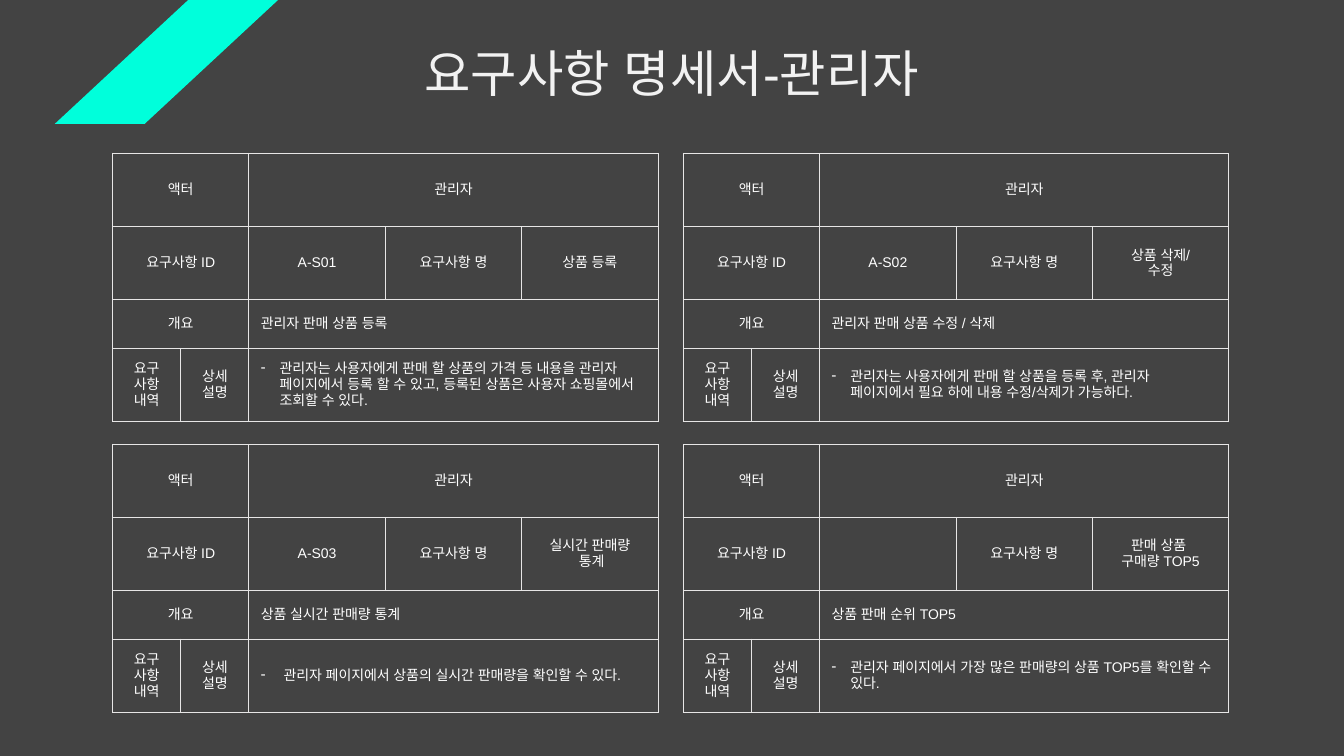
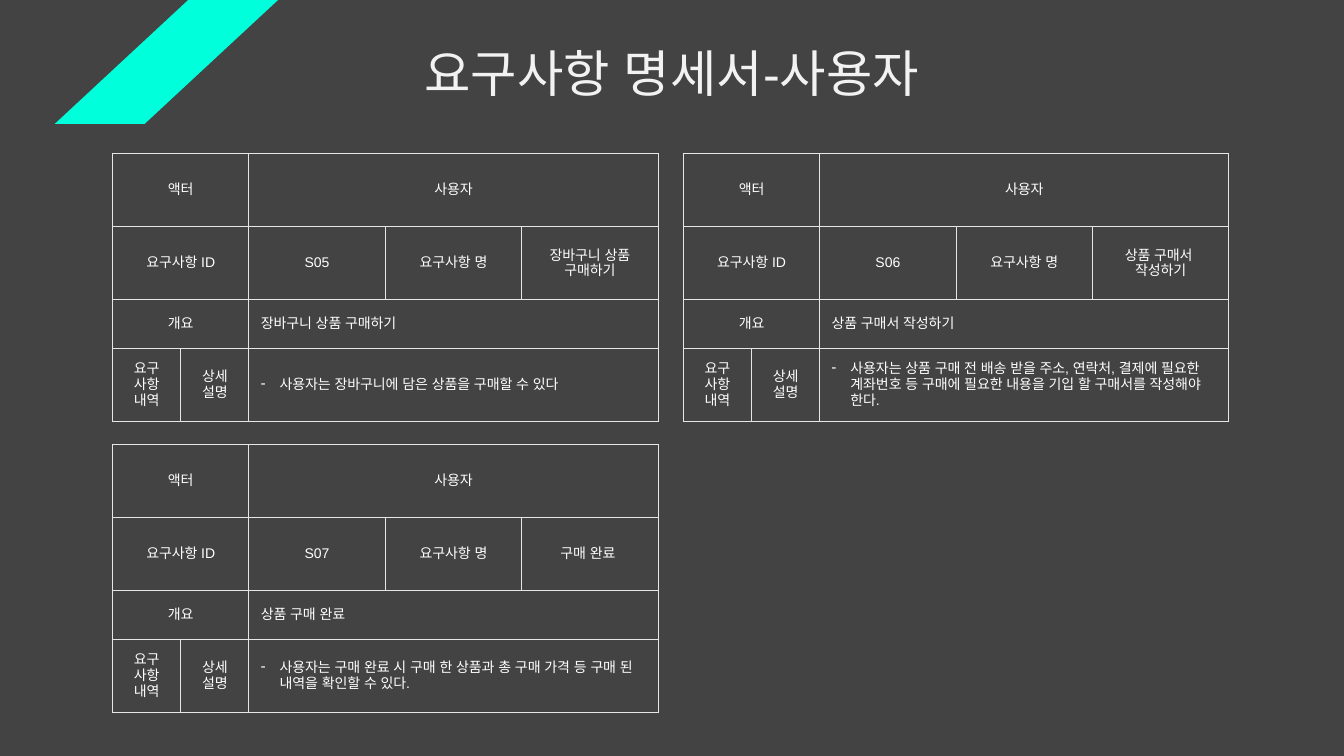
from lxml import etree
from pptx import Presentation
from pptx.dml.color import RGBColor
from pptx.enum.text import MSO_ANCHOR, MSO_AUTO_SIZE, PP_ALIGN
from pptx.oxml.ns import qn
from pptx.util import Pt

DARK = RGBColor(0x43, 0x43, 0x43)
MINT = RGBColor(0x00, 0xFF, 0xDB)
WHITE = RGBColor(0xFF, 0xFF, 0xFF)
PALE = RGBColor(0xF2, 0xF2, 0xF2)
RULE = RGBColor(0xE7, 0xE6, 0xE6)
FONT = "Arial"
LEFT, MID = PP_ALIGN.LEFT, PP_ALIGN.CENTER
MIDDLE = MSO_ANCHOR.MIDDLE
GROW = MSO_AUTO_SIZE.SHAPE_TO_FIT_TEXT

WIDE, HIGH = 960, 540
UNIT = 48.7
COLS = [UNIT, UNIT, 2 * UNIT, 2 * UNIT, 2 * UNIT]
ROWS = [52.2, 52.2, 34.8, 52.2]
GRID_X, GRID_Y = 80.4, 109.6
STEP_X, STEP_Y = 407.7, 207.8
SPANS = [(0, 0, 1), (0, 2, 4), (1, 0, 1), (2, 0, 1), (2, 2, 4), (3, 2, 4)]

DECK = [
    ("관리자", [
        ("A-S01", "상품 등록", "관리자 판매 상품 등록",
         "관리자는 사용자에게 판매 할 상품의 가격 등 내용을 관리자 페이지에서 "
         "등록 할 수 있고, 등록된 상품은 사용자 쇼핑몰에서 조회할 수 있다."),
        ("A-S02", "상품 삭제/\n수정", "관리자 판매 상품 수정 / 삭제",
         "관리자는 사용자에게 판매 할 상품을 등록 후, 관리자 페이지에서 "
         "필요 하에 내용 수정/삭제가 가능하다."),
        ("A-S03", "실시간 판매량\n 통계", "상품 실시간 판매량 통계",
         " 관리자 페이지에서 상품의 실시간 판매량을 확인할 수 있다."),
        ("", "판매 상품 \n구매량 TOP5", "상품 판매 순위 TOP5",
         "관리자 페이지에서 가장 많은 판매량의 상품 TOP5를 확인할 수 있다."),
    ]),
    ("사용자", [
        ("S05", "장바구니 상품\n구매하기", "장바구니 상품 구매하기",
         "사용자는 장바구니에 담은 상품을 구매할 수 있다"),
        ("S06", "상품 구매서 \n작성하기", "상품 구매서 작성하기",
         "사용자는 상품 구매 전 배송 받을 주소, 연락처, 결제에 필요한 계좌번호 등 "
         "구매에 필요한 내용을 기입 할 구매서를 작성해야 한다."),
        ("S07", "구매 완료 ", "상품 구매 완료",
         "사용자는 구매 완료 시 구매 한 상품과 총 구매 가격 등 "
         "구매 된 내역을 확인할 수 있다."),
    ]),
]


def write(frame, text, size=10, color=WHITE, align=MID, dash=False):
    """Fill a text frame, one paragraph for each line of text."""
    for num, line in enumerate(text.split("\n")):
        para = frame.add_paragraph() if num else frame.paragraphs[0]
        para.alignment = align
        run = para.add_run()
        run.text = line
        font = run.font
        font.size, font.name = Pt(size), FONT
        font.color.rgb = color
        etree.SubElement(font._element, qn("a:ea"), typeface=FONT)
        if dash:
            props = para._p.get_or_add_pPr()
            props.set("marL", str(Pt(13.5)))
            props.set("indent", str(-Pt(13.5)))
            tint = etree.SubElement(props, qn("a:buClr"))
            etree.SubElement(tint, qn("a:srgbClr"), val=str(color))
            etree.SubElement(props, qn("a:buFontTx"))
            etree.SubElement(props, qn("a:buChar"), char="-")


def style(cell):
    """Give a cell its borders, fill and insets."""
    props = cell._tc.get_or_add_tcPr()
    for side in ("lnL", "lnR", "lnT", "lnB"):
        line = etree.SubElement(props, qn("a:" + side), w=str(Pt(0.75)))
        fill = etree.SubElement(line, qn("a:solidFill"))
        etree.SubElement(fill, qn("a:srgbClr"), val=str(RULE))
    cell.fill.solid()
    cell.fill.fore_color.rgb = DARK
    cell.vertical_anchor = MIDDLE
    cell.margin_left = cell.margin_right = Pt(8.5)
    cell.margin_top = cell.margin_bottom = Pt(3.6)


def add_spec(slide, left, top, actor, item):
    """Place one requirement table with its corner at left, top."""
    code, name, brief, detail = item
    table = slide.shapes.add_table(
        len(ROWS), len(COLS), Pt(left), Pt(top),
        Pt(sum(COLS)), Pt(sum(ROWS))).table
    table.first_row = table.horz_banding = False
    for col, width in zip(table.columns, COLS):
        col.width = Pt(width)
    for row, height in zip(table.rows, ROWS):
        row.height = Pt(height)
    for cell in table.iter_cells():
        style(cell)
    for row, start, end in SPANS:
        table.cell(row, start).merge(table.cell(row, end))
    texts = {
        (0, 0): "액터", (0, 2): actor,
        (1, 0): "요구사항 ID", (1, 2): code,
        (1, 3): "요구사항 명", (1, 4): name,
        (2, 0): "개요", (2, 2): brief,
        (3, 0): "요구 사항 내역", (3, 1): "상세 설명", (3, 2): detail,
    }
    for (row, col), text in texts.items():
        body = row > 1 and col == 2
        write(table.cell(row, col).text_frame, text,
              align=LEFT if body else MID, dash=body and row == 3)


def add_head(slide, text):
    """Place the slanted band and the slide title."""
    pen = slide.shapes.build_freeform(Pt(198.6), 0)
    pen.add_line_segments([(Pt(134.4), 0), (Pt(39.2), Pt(88.4)),
                           (Pt(103.4), Pt(88.4))])
    band = pen.convert_to_shape()
    band.shadow.inherit = False
    band.fill.solid()
    band.fill.fore_color.rgb = MINT
    band.line.fill.background()
    box = slide.shapes.add_textbox(Pt(83), Pt(26.6), Pt(793.6), Pt(51))
    box.text_frame.word_wrap = True
    box.text_frame.auto_size = GROW
    write(box.text_frame, text, size=36, color=PALE)


def add_page(deck, actor, items):
    """Add a slide with the tables of one actor, two in a row."""
    slide = deck.slides.add_slide(deck.slide_layouts[6])
    slide.background.fill.solid()
    slide.background.fill.fore_color.rgb = DARK
    add_head(slide, f"요구사항 명세서-{actor}")
    for num, item in enumerate(items):
        row, col = divmod(num, 2)
        add_spec(slide, GRID_X + col * STEP_X, GRID_Y + row * STEP_Y,
                 actor, item)


def main():
    """Build and save the deck."""
    deck = Presentation()
    deck.slide_width, deck.slide_height = Pt(WIDE), Pt(HIGH)
    for actor, items in DECK:
        add_page(deck, actor, items)
    deck.save("out.pptx")


if __name__ == "__main__":
    main()
